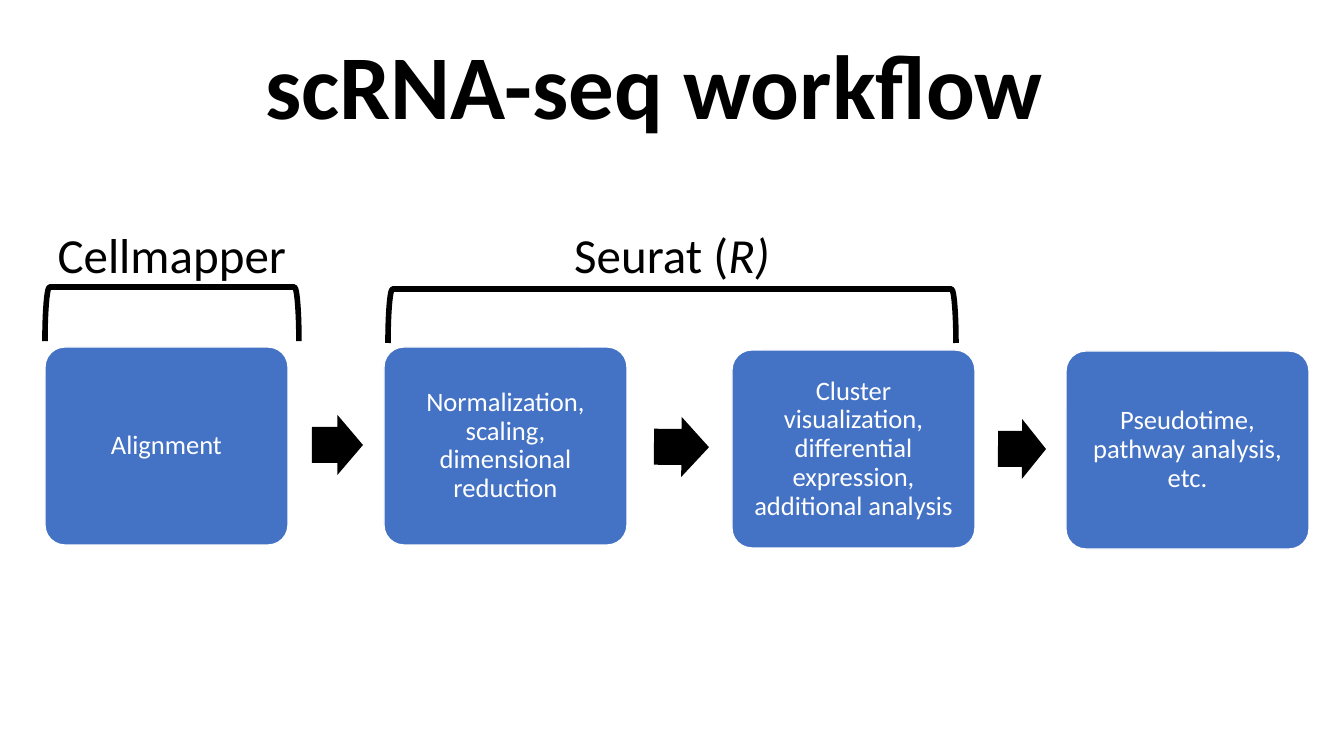
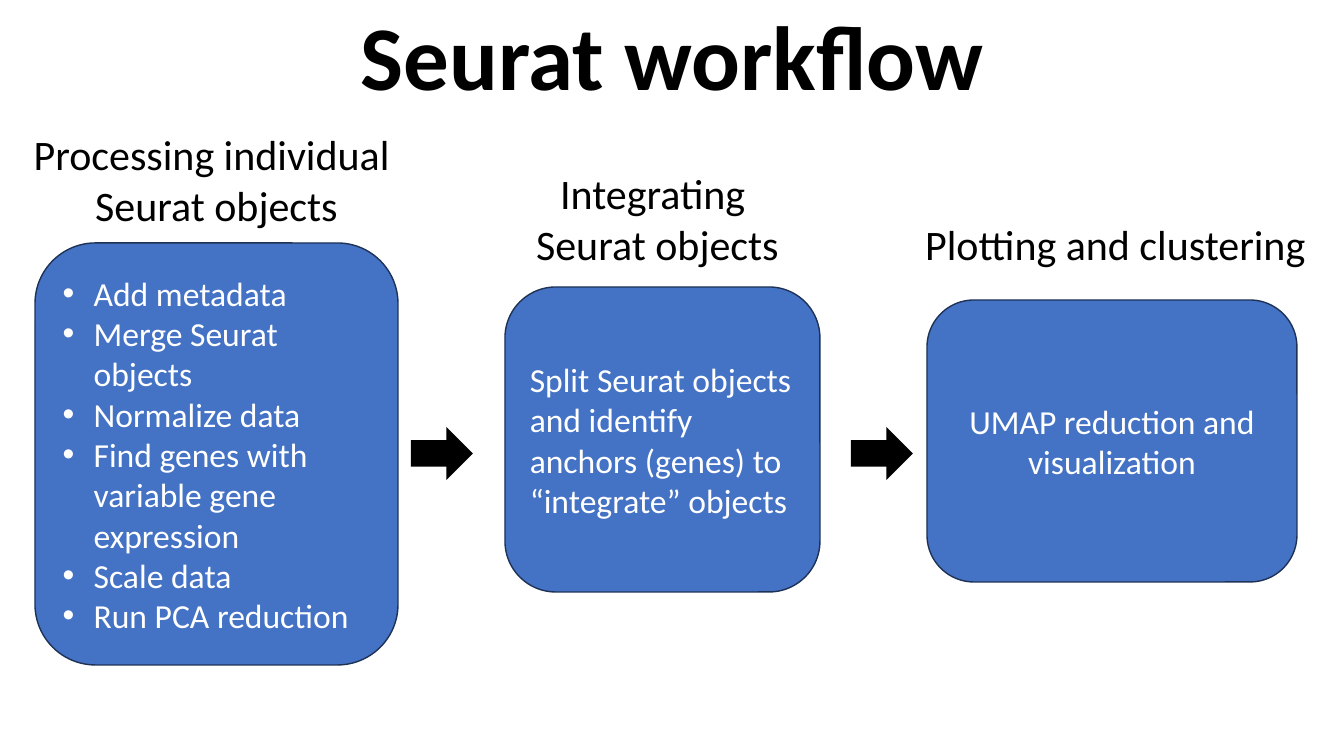
from lxml import etree
from pptx import Presentation
from pptx import util as u
from pptx.dml import color
from pptx.enum import shapes, text
from pptx.oxml import ns

PX = 914400 / 100.8
BLUE, NAVY, BLACK, WHITE = "4472C4", "1E3256", "000000", "FFFFFF"
FONT = "Calibri"
SHAPE, ALIGN = shapes.MSO_SHAPE, text.PP_ALIGN
hex_color = color.RGBColor.from_string


def draw(slide, kind, box, fill=None, line=None, weight=1, adjust=(), turn=0):
    """Add a preset shape, or a text box when kind is None; box is in px."""
    place = [u.Emu(round(v * PX)) for v in box]
    if kind is None:
        return slide.shapes.add_textbox(*place)
    shape = slide.shapes.add_shape(kind, *place)
    shape.shadow.inherit = False
    shape.rotation = turn
    for i, value in enumerate(adjust):
        shape.adjustments[i] = value
    if fill:
        shape.fill.solid()
        shape.fill.fore_color.rgb = hex_color(fill)
    else:
        shape.fill.background()
    if line:
        shape.line.color.rgb = hex_color(line)
        shape.line.width = u.Pt(weight)
    else:
        shape.line.fill.background()
    return shape


def write(shape, words, size, ink=BLACK, bold=None, align=ALIGN.CENTER,
          spacing=None, middle=True, wrap=True, bullets=False):
    """Fill a shape with text, one paragraph per line of words."""
    frame = shape.text_frame
    frame.word_wrap = wrap
    frame.vertical_anchor = text.MSO_ANCHOR.MIDDLE if middle else text.MSO_ANCHOR.TOP
    for i, line in enumerate(words.split("\n")):
        par = frame.add_paragraph() if i else frame.paragraphs[0]
        par.add_run().text = line
        par.alignment = align
        par.line_spacing = spacing
        if bullets:
            props = par._p.get_or_add_pPr()
            props.set("marL", str(round(31 * PX)))
            props.set("indent", str(round(-31 * PX)))
            etree.SubElement(props, ns.qn("a:buFont")).set("typeface", "Arial")
            etree.SubElement(props, ns.qn("a:buChar")).set("char", "•")
        par.font.name, par.font.size, par.font.bold = FONT, u.Pt(size), bold
        par.font.color.rgb = hex_color(ink)
    return frame


prs = Presentation()
prs.slide_width, prs.slide_height = u.Emu(round(1344 * PX)), u.Emu(round(756 * PX))

# Slides and their titles
slides = []
for title, left, top in [("scRNA-seq workflow", 75, 17), ("Seurat workflow", 93, -12)]:
    slide = prs.slides.add_slide(prs.slide_layouts[6])
    write(draw(slide, None, (left, top, 1159, 146)), title, 65, bold=True, spacing=0.9)
    slides.append(slide)
overview, seurat = slides

# Overview: the four steps
steps = [
    (45, 347, "Alignment"),
    (384, 347, "Normalization, scaling, dimensional reduction"),
    (732, 350, "Cluster visualization, differential expression, additional analysis"),
    (1066, 351, "Pseudotime, pathway analysis, etc."),
]
for left, top, words in steps:
    step = draw(overview, SHAPE.ROUNDED_RECTANGLE, (left, top, 243, 198),
                BLUE, WHITE, adjust=[0.1])
    frame = write(step, words, 19, WHITE, spacing=0.9)
    frame.margin_left = frame.margin_right = u.Emu(round(8 * PX))

# Overview: arrows between the steps
for left, top, width, turn in [(312, 415, 51, 0.1), (654, 417, 55, 0.5), (998, 419, 48, 0.2)]:
    draw(overview, SHAPE.RIGHT_ARROW, (left, top, width, 60), BLACK,
         adjust=[0.6, 0.5], turn=turn)

# Overview: brackets, each standing upright before its quarter turn, and tools
for center, span, top, tool, italic in [(172, 254, 287, "Cellmapper", ""),
                                        (672, 568, 289, "Seurat (", "R)")]:
    draw(overview, SHAPE.RIGHT_BRACKET,
         (center - 27, top + 27 - span / 2, 54, span), line=BLACK, weight=4, turn=270)
    label = draw(overview, None, (center - span / 2, 220, span, 70))
    frame = write(label, tool, 35, middle=False)
    if italic:
        ending = frame.paragraphs[0].add_run()
        ending.text = italic
        ending.font.italic = True

# Seurat: the three stages
stages = [
    ((35, 243, 363, 422), "Add metadata\nMerge Seurat objects\nNormalize data\n"
     "Find genes with variable gene expression\nScale data\nRun PCA reduction",
     ALIGN.LEFT, True),
    ((505, 287, 315, 305),
     "Split Seurat objects and identify anchors (genes) to “integrate” objects",
     ALIGN.LEFT, False),
    ((927, 300, 370, 282), "UMAP reduction and visualization", ALIGN.CENTER, False),
]
for box, words, align, bullets in stages:
    stage = draw(seurat, SHAPE.ROUNDED_RECTANGLE, box, BLUE, NAVY)
    write(stage, words, 24, WHITE, align=align, bullets=bullets)

# Seurat: headings above the stages
headings = [
    ((0, 124, 433, 112), "Processing individual \nSeurat objects"),
    ((525, 163, 265, 112), "Integrating \nSeurat objects"),
    ((913, 214, 405, 61), "Plotting and clustering"),
]
for box, words in headings:
    write(draw(seurat, None, box), words, 30, middle=False, wrap=box[0] == 0)

# Seurat: arrows between the stages
for left in (411, 851):
    draw(seurat, SHAPE.RIGHT_ARROW, (left, 427, 62, 53), BLACK)

prs.save("out.pptx")
